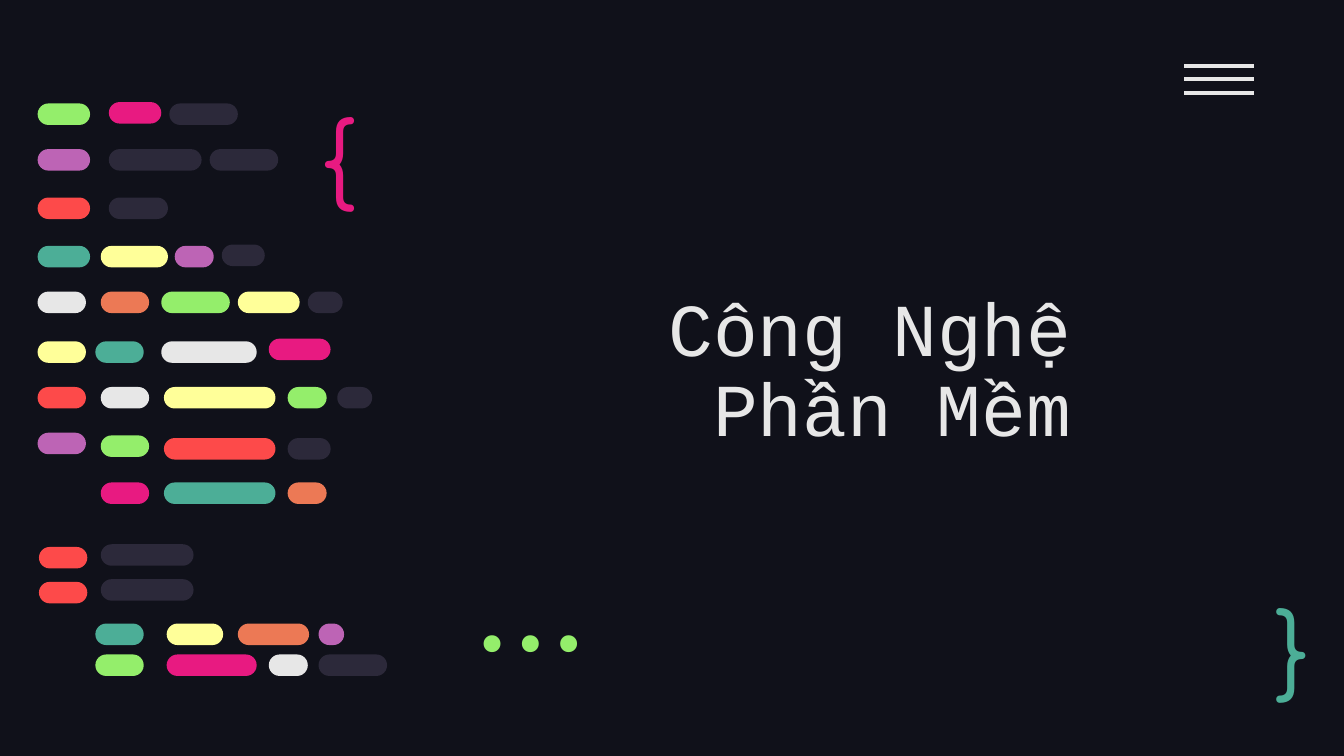
from dataclasses import dataclass

from lxml.etree import SubElement
from pptx import Presentation
from pptx.dml.color import RGBColor
from pptx.enum.shapes import MSO_CONNECTOR, MSO_SHAPE
from pptx.enum.text import MSO_ANCHOR, MSO_AUTO_SIZE, PP_ALIGN
from pptx.oxml.ns import qn
from pptx.util import Inches, Pt


@dataclass(frozen=True)
class Theme:
    """Colours, fonts and sizes of the slide."""

    night: str = "10111A"
    white: str = "E7E7E7"
    green: str = "94EE6B"
    pink: str = "E81A81"
    purple: str = "BD64B5"
    red: str = "FD4A4A"
    teal: str = "4CAE97"
    yellow: str = "FFFF99"
    orange: str = "EC7955"
    slate: str = "2C293A"
    title_font: str = "Courier New"
    brace_font: str = "Comfortaa"
    dots_font: str = "Fira Code"
    title_size: int = 40
    symbol_size: int = 50
    menu_line: float = 2.25


THEME = Theme()
SLIDE_WIDTH = 10
SLIDE_HEIGHT = SLIDE_WIDTH * 9 / 16
PILL_HEIGHT = 0.16
CODE_ROWS = [
    (0.76, [(0.81, 0.39, "pink")]),
    (0.77, [(0.28, 0.39, "green"), (1.26, 0.51, "slate")]),
    (1.11, [(0.28, 0.39, "purple"), (0.81, 0.69, "slate"), (1.56, 0.51, "slate")]),
    (1.47, [(0.28, 0.39, "red"), (0.81, 0.44, "slate")]),
    (1.82, [(1.65, 0.32, "slate")]),
    (1.83, [(0.28, 0.39, "teal"), (0.75, 0.5, "yellow"), (1.3, 0.29, "purple")]),
    (2.17, [(0.28, 0.36, "white"), (0.75, 0.36, "orange"), (1.2, 0.51, "green"),
            (1.77, 0.46, "yellow"), (2.29, 0.26, "slate")]),
    (2.52, [(2, 0.46, "pink")]),
    (2.54, [(0.28, 0.36, "yellow"), (0.71, 0.36, "teal"), (1.2, 0.71, "white")]),
    (2.88, [(0.28, 0.36, "red"), (0.75, 0.36, "white"), (1.22, 0.83, "yellow"),
            (2.14, 0.29, "green"), (2.51, 0.26, "slate")]),
    (3.22, [(0.28, 0.36, "purple")]),
    (3.24, [(0.75, 0.36, "green")]),
    (3.26, [(1.22, 0.83, "red"), (2.14, 0.32, "slate")]),
    (3.59, [(0.75, 0.36, "pink"), (1.22, 0.83, "teal"), (2.14, 0.29, "orange")]),
    (4.05, [(0.75, 0.69, "slate")]),
    (4.07, [(0.29, 0.36, "red")]),
    (4.31, [(0.75, 0.69, "slate")]),
    (4.33, [(0.29, 0.36, "red")]),
    (4.64, [(0.71, 0.36, "teal"), (1.24, 0.42, "yellow"), (1.77, 0.53, "orange"),
            (2.37, 0.19, "purple")]),
    (4.87, [(0.71, 0.36, "green"), (1.24, 0.67, "pink"), (2, 0.29, "white"),
            (2.37, 0.51, "slate")]),
]


def rgb(name):
    """Return a theme colour by its name."""
    return RGBColor.from_string(getattr(THEME, name))


def write(box, text, font, size, color, anchor, align):
    """Fill a text holder with one formatted paragraph."""
    frame = box.text_frame
    frame.word_wrap = True
    frame.auto_size = MSO_AUTO_SIZE.NONE
    frame.vertical_anchor = anchor
    frame.margin_left = frame.margin_right = Inches(0.1)
    frame.margin_top = frame.margin_bottom = Inches(0.1)
    frame.text = text
    paragraph = frame.paragraphs[0]
    paragraph.alignment = align
    paragraph.font.name = font
    paragraph.font.size = Pt(size)
    paragraph.font.color.rgb = rgb(color)
    return paragraph


def add_title(slide):
    """Place the right-aligned title and drop the unused subtitle."""
    title, subtitle = slide.placeholders
    subtitle.element.getparent().remove(subtitle.element)
    title.left, title.top = Inches(3.83), Inches(1.85)
    title.width, title.height = Inches(4.24), Inches(1.62)
    paragraph = write(title, "Công Nghệ Phần Mềm", THEME.title_font, THEME.title_size,
                      "white", MSO_ANCHOR.BOTTOM, PP_ALIGN.RIGHT)
    paragraph.line_spacing = 0.9


def add_symbol(slide, at, text, font, color, anchor, align=PP_ALIGN.LEFT):
    """Add a large decorative code symbol."""
    box = slide.shapes.add_textbox(*map(Inches, at))
    write(box, text, font, THEME.symbol_size, color, anchor, align)


def add_menu_icon(slide):
    """Draw three evenly spaced lines."""
    icon = slide.shapes.add_group_shape()
    for row in range(3):
        y = Inches(0.49 + 0.1 * row)
        bar = icon.shapes.add_connector(
            MSO_CONNECTOR.STRAIGHT, Inches(8.81), y, Inches(9.33), y)
        bar.line.color.rgb = rgb("white")
        bar.line.width = Pt(THEME.menu_line)
        SubElement(bar.element.spPr, qn("a:effectLst"))


def add_pill(group, left, top, width, color):
    """Add one fully rounded bar standing for a code word."""
    pill = group.shapes.add_shape(
        MSO_SHAPE.ROUNDED_RECTANGLE, *map(Inches, (left, top, width, PILL_HEIGHT)))
    pill.adjustments[0] = 0.5
    pill.shadow.inherit = False
    pill.fill.solid()
    pill.fill.fore_color.rgb = rgb(color)
    pill.line.fill.background()


def add_code_block(slide):
    """Draw the rows of coloured code words."""
    block = slide.shapes.add_group_shape()
    for top, words in CODE_ROWS:
        for left, width, color in words:
            add_pill(block, left, top, width, color)


def main():
    """Build and save the title slide."""
    deck = Presentation()
    deck.slide_width, deck.slide_height = Inches(SLIDE_WIDTH), Inches(SLIDE_HEIGHT)
    slide = deck.slides.add_slide(deck.slide_layouts[0])
    slide.background.fill.solid()
    slide.background.fill.fore_color.rgb = rgb("night")
    add_title(slide)
    add_symbol(slide, (2.29, 0.62, 0.77, 0.95), "{", THEME.brace_font, "pink",
               MSO_ANCHOR.TOP)
    add_symbol(slide, (9.39, 4.38, 0.57, 0.83), "}", THEME.brace_font, "teal",
               MSO_ANCHOR.MIDDLE)
    add_symbol(slide, (3.11, 4.49, 1.58, 0.6), "...", THEME.dots_font, "green",
               MSO_ANCHOR.BOTTOM, PP_ALIGN.RIGHT)
    add_menu_icon(slide)
    add_code_block(slide)
    deck.save("out.pptx")


if __name__ == "__main__":
    main()
